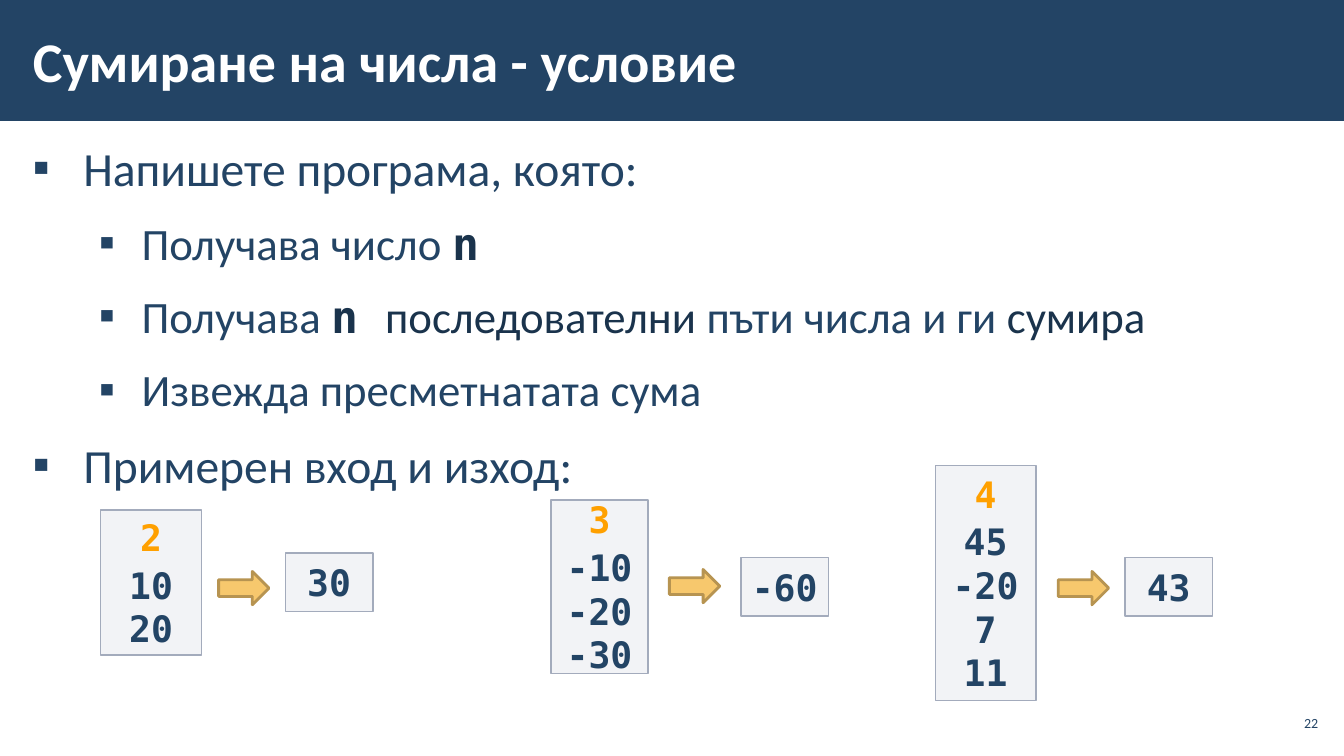
from dataclasses import dataclass

from lxml.etree import SubElement
from pptx import Presentation
from pptx.dml.color import RGBColor
from pptx.enum.shapes import MSO_SHAPE
from pptx.enum.text import MSO_ANCHOR, PP_ALIGN
from pptx.oxml.ns import qn
from pptx.util import Cm, Pt


@dataclass(frozen=True)
class Theme:
    navy: str = "234465"
    dark: str = "1A334C"
    white: str = "FFFFFF"
    orange: str = "FFA000"
    panel: str = "C2C7D2"
    panel_line: str = "A3ABBC"
    arrow: str = "F7C86D"
    arrow_line: str = "B79451"
    text_font: str = "Calibri"
    code_font: str = "DejaVu Sans Mono"
    title_size: int = 40
    level_sizes: tuple = (34, 32)
    code_size: int = 26
    number_size: int = 10


@dataclass(frozen=True)
class Box:
    left: float
    top: float
    width: float
    height: float

    def lengths(self):
        return Cm(self.left), Cm(self.top), Cm(self.width), Cm(self.height)

    def inside(self, left, top, width, height):
        return Box(self.left + left, self.top + top, width, height)


THEME = Theme()
SLIDE = Box(0, 0, 33.87, 19.05)
HEADER = Box(0, 0, 33.87, 3.05)
BODY = Box(0.53, 3.33, 32.82, 14.45)
NUMBER = Box(32.13, 17.78, 1.19, 0.86)

# Each paragraph is a level and its spans; a span is text and its style.
BULLETS = [
    (0, [("Напишете програма, която:", "plain")]),
    (1, [("Получава число ", "plain"), ("n", "code")]),
    (1, [("Получава ", "plain"), ("n ", "code"), ("последователни", "dark"),
         (" пъти числа и ги ", "plain"), ("сумира", "dark")]),
    (1, [("Извежда пресметнатата сума", "plain")]),
    (0, [("Примерен вход и изход:", "plain")]),
]
SPAN_STYLES = {
    "plain": (THEME.text_font, THEME.navy, False),
    "dark": (THEME.text_font, THEME.dark, False),
    "code": (THEME.code_font, THEME.dark, True),
}
LEVEL_INDENTS = ((1.27, -1.27), (2.74, -1.07))

# Input box, arrow and result offsets from the input box, input lines, result.
EXAMPLES = [
    (Box(2.54, 12.85, 2.54, 3.66), (2.97, 1.55), (4.65, 1.09),
     ["2", "10", "20"], "30"),
    (Box(13.89, 12.6, 2.44, 4.37), (2.98, 1.75), (4.78, 1.45),
     ["3", "-10", "-20", "-30"], "-60"),
    (Box(23.57, 11.73, 2.54, 5.92), (3.1, 2.67), (4.78, 2.32),
     ["4", "45", "-20", "7", "11"], "43"),
]


def style_span(span, size, font, color, bold=False):
    span.font.size = Pt(size)
    span.font.name = font
    span.font.bold = bold
    span.font.color.rgb = RGBColor.from_string(color)


def add_text_frame(page, box, side_margin=0.3, anchor=MSO_ANCHOR.MIDDLE):
    frame = page.shapes.add_textbox(*box.lengths()).text_frame
    frame.word_wrap = True
    frame.vertical_anchor = anchor
    frame.margin_left = frame.margin_right = Cm(side_margin)
    frame.margin_top = frame.margin_bottom = Cm(0.1)
    return frame


def add_figure(page, kind, box, fill, line=None, line_width=1):
    figure = page.shapes.add_shape(kind, *box.lengths())
    figure.shadow.inherit = False
    figure.fill.solid()
    figure.fill.fore_color.rgb = RGBColor.from_string(fill)
    if line:
        figure.line.color.rgb = RGBColor.from_string(line)
        figure.line.width = Pt(line_width)
    else:
        figure.line.fill.background()
    return figure


def add_header(page, box, title):
    add_figure(page, MSO_SHAPE.RECTANGLE, box, THEME.navy)
    para = add_text_frame(page, box.inside(0.53, 0.28, 26.39, 2.46)).paragraphs[0]
    para.text = title
    style_span(para.runs[0], THEME.title_size, THEME.text_font, THEME.white, True)


def set_bullet(para, level):
    margin, indent = LEVEL_INDENTS[level]
    properties = para._p.get_or_add_pPr()
    properties.set("marL", str(Cm(margin)))
    properties.set("indent", str(Cm(indent)))
    SubElement(properties, qn("a:buFont"), typeface=THEME.text_font)
    SubElement(properties, qn("a:buChar"), char="▪")


def add_bullets(page, box, bullets):
    frame = add_text_frame(page, box, anchor=MSO_ANCHOR.TOP)
    for index, (level, spans) in enumerate(bullets):
        para = frame.add_paragraph() if index else frame.paragraphs[0]
        para.level = level
        para.line_spacing = 1.05
        para.space_before = para.space_after = Pt(6)
        set_bullet(para, level)
        for text, style in spans:
            span = para.add_run()
            span.text = text
            style_span(span, THEME.level_sizes[level], *SPAN_STYLES[style])


def add_code_panel(page, box, lines, first_color):
    panel = add_figure(page, MSO_SHAPE.RECTANGLE, box, THEME.panel, THEME.panel_line)
    color = panel._element.spPr.find(qn("a:solidFill"))[0]
    SubElement(color, qn("a:alpha"), val="20000")
    frame = panel.text_frame
    frame.text = "\n".join(lines)
    frame.vertical_anchor = MSO_ANCHOR.MIDDLE
    frame.margin_left = frame.margin_right = Cm(0.1)
    for index, para in enumerate(frame.paragraphs):
        para.alignment = PP_ALIGN.CENTER
        if index == 1:
            para.space_before = Pt(3)
        style_span(para.runs[0], THEME.code_size, THEME.code_font,
                   THEME.navy if index else first_color, True)


def add_example(page, box, arrow_offset, result_offset, lines, result):
    add_code_panel(page, box, lines, THEME.orange)
    add_figure(page, MSO_SHAPE.RIGHT_ARROW, box.inside(*arrow_offset, 1.27, 0.84),
               THEME.arrow, THEME.arrow_line, 2)
    add_code_panel(page, box.inside(*result_offset, 2.21, 1.47), [result], THEME.navy)


def add_page_number(page, box, number):
    para = add_text_frame(page, box, side_margin=0.1).paragraphs[0]
    para.text = str(number)
    para.alignment = PP_ALIGN.RIGHT
    style_span(para.runs[0], THEME.number_size, THEME.text_font, THEME.navy)


def main():
    deck = Presentation()
    deck.slide_width, deck.slide_height = Cm(SLIDE.width), Cm(SLIDE.height)
    page = deck.slides.add_slide(deck.slide_layouts[6])
    add_header(page, HEADER, "Сумиране на числа - условие")
    add_bullets(page, BODY, BULLETS)
    for example in EXAMPLES:
        add_example(page, *example)
    add_page_number(page, NUMBER, 22)
    deck.save("out.pptx")


if __name__ == "__main__":
    main()
